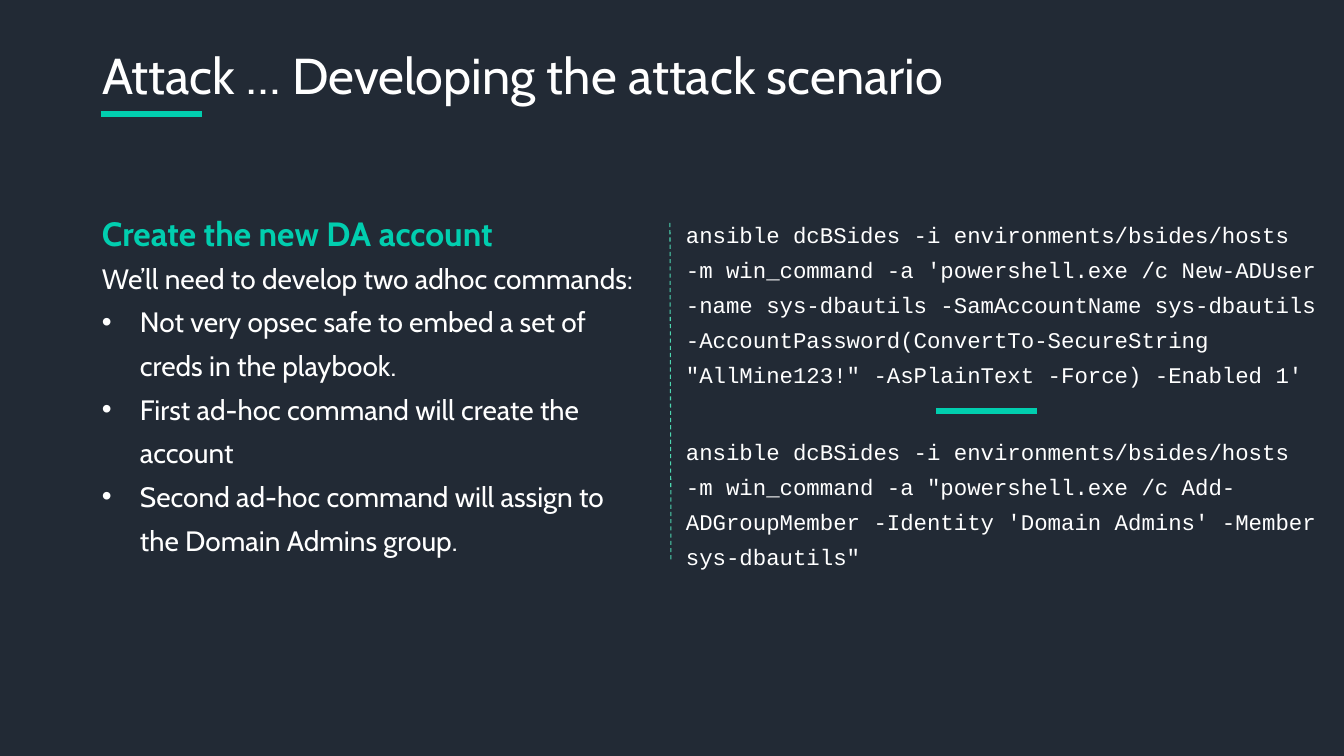
from lxml.etree import SubElement
from pptx import Presentation
from pptx.dml.color import RGBColor
from pptx.enum.dml import MSO_LINE_DASH_STYLE as Dash
from pptx.enum.shapes import MSO_CONNECTOR as Link
from pptx.enum.text import MSO_ANCHOR as Anchor, MSO_AUTO_SIZE as Fit, PP_ALIGN as Align
from pptx.oxml.ns import qn
from pptx.util import Emu, Pt

WHITE, TEAL, MINT, NAVY = "FFFFFF", "01CEAF", "4DD6B0", "222A35"
INTRO = "We’ll need to develop two adhoc commands:"
POINTS = [
    "Not very opsec safe to embed a set of creds in the playbook.",
    "First ad-hoc command will create the account",
    "Second ad-hoc command will assign to the Domain Admins group.",
]
USER = (
    "ansible dcBSides -i environments/bsides/hosts -m win_command "
    "-a 'powershell.exe /c New-ADUser -name sys-dbautils "
    "-SamAccountName sys-dbautils -AccountPassword(ConvertTo-SecureString "
    "\"AllMine123!\" -AsPlainText -Force) -Enabled 1'"
)
GROUP = (
    "ansible dcBSides -i environments/bsides/hosts -m win_command "
    "-a \"powershell.exe /c Add-ADGroupMember -Identity 'Domain Admins' "
    "-Member sys-dbautils\""
)


def px(count):
    """Turn pixels into EMU."""
    return Emu(round(count * 914400 / 100.8))


def color(code):
    """Turn a hex string into a colour."""
    return RGBColor.from_string(code)


def bullet(para):
    """Give a paragraph a hanging bullet."""
    props = para._p.get_or_add_pPr()
    props.set("marL", str(px(38)))
    props.set("indent", str(px(-38)))
    SubElement(props, qn("a:buFont")).set("typeface", "Arial")
    SubElement(props, qn("a:buChar")).set("char", "•")


def write(shape, box, lines, size, face="Cabin", tint=WHITE, bold=False, lead=1.0, marks=()):
    """Place a shape and fill it with paragraphs."""
    shape.left, shape.top, shape.width, shape.height = map(px, box)
    frame = shape.text_frame
    frame.word_wrap = True
    frame.auto_size = Fit.NONE
    frame.vertical_anchor = Anchor.TOP
    frame.text = "\n".join(lines)
    for spot, para in enumerate(frame.paragraphs):
        para.alignment = Align.LEFT
        para.line_spacing = lead
        if spot in marks:
            bullet(para)
        font = para.font
        font.name, font.size, font.bold = face, Pt(size), bold
        font.color.rgb = color(tint)


def label(slide, box, lines, size, **style):
    """Add a text box."""
    write(slide.shapes.add_textbox(0, 0, 0, 0), box, lines, size, **style)


def rule(slide, ends, tint, width, dash=None):
    """Add a straight line without a shadow."""
    line = slide.shapes.add_connector(Link.STRAIGHT, *map(px, ends))
    line.line.color.rgb = color(tint)
    line.line.width = Pt(width)
    if dash:
        line.line.dash_style = dash
    SubElement(line._element.spPr, qn("a:effectLst"))


def main():
    """Build the slide and save it."""
    deck = Presentation()
    deck.slide_width, deck.slide_height = px(1344), px(756)
    slide = deck.slides.add_slide(deck.slide_layouts[5])
    fill = slide.background.fill
    fill.solid()
    fill.fore_color.rgb = color(NAVY)

    write(slide.shapes.title, (92, 39, 872, 72), ["Attack … Developing the attack scenario"], 36)
    label(slide, (92, 246, 563, 359), [INTRO, *POINTS], 20, lead=1.3, marks=(1, 2, 3))
    label(slide, (92, 208, 462, 50), ["Create the new DA account"], 24, tint=TEAL, bold=True)
    for top, high, code in ((208, 184, USER), (425, 149, GROUP)):
        label(slide, (676, top, 658, high), [code], 16, face="Courier New", lead=1.3)

    for left, top in ((101, 114), (936, 411)):
        rule(slide, (left, top, left + 101, top), TEAL, 4.5)
    rule(slide, (670, 223, 671, 562), MINT, 0.75, Dash.DASH)
    deck.save("out.pptx")


if __name__ == "__main__":
    main()
